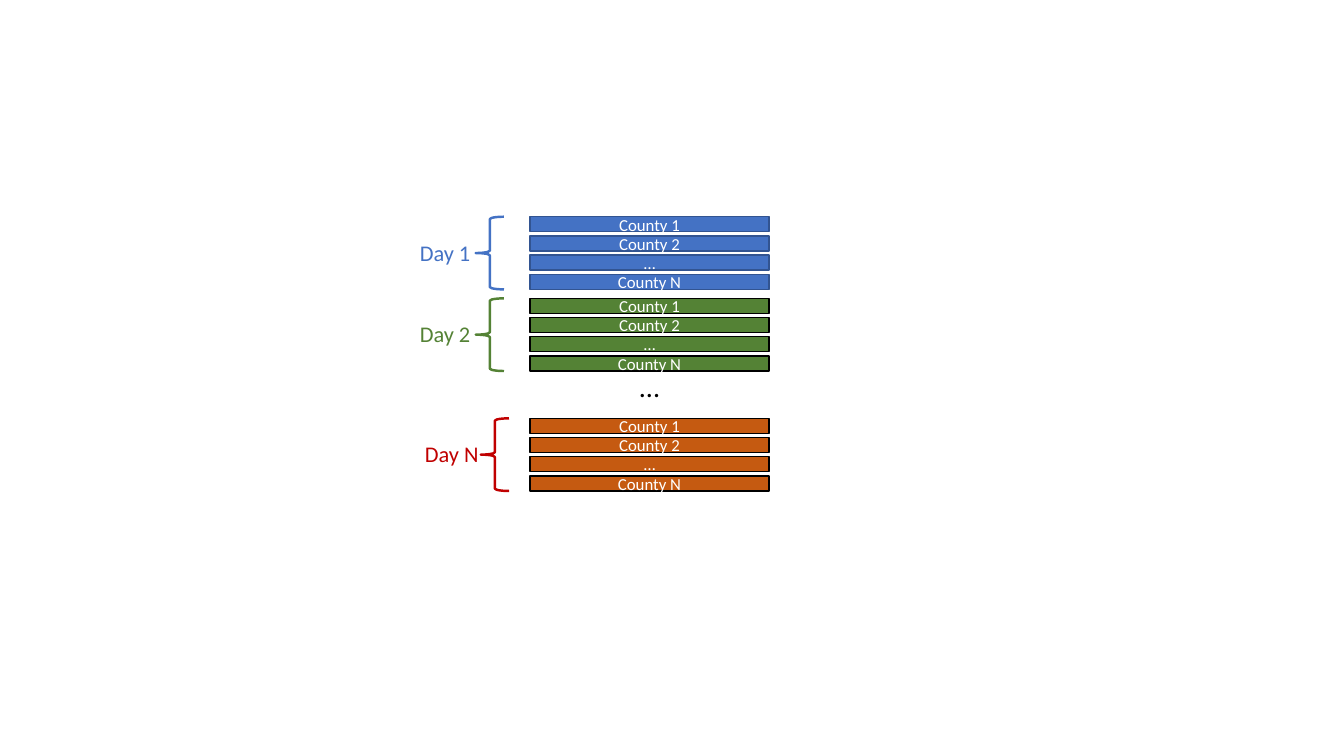
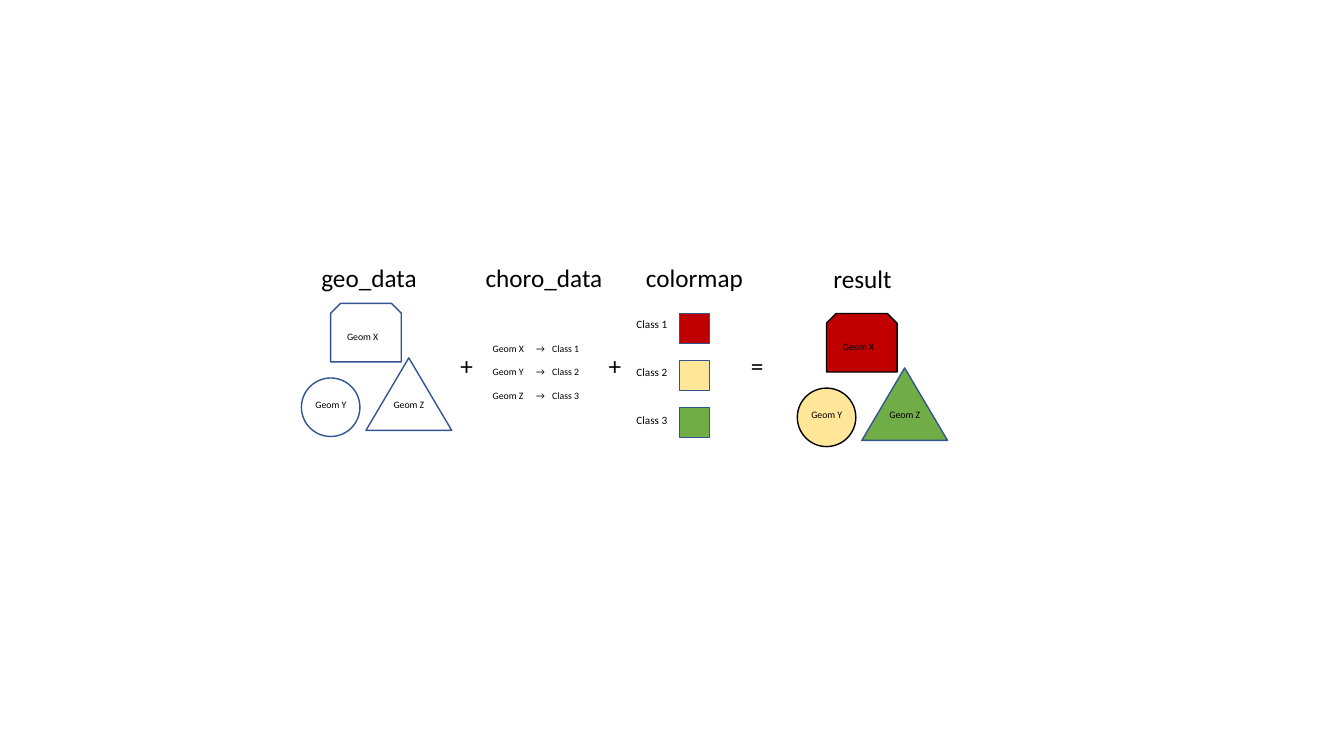
import pptx
import pptx.util
import pptx.dml.color
import pptx.enum.shapes
import pptx.enum.text
import lxml.etree

Pt = pptx.util.Pt
Color = pptx.dml.color.RGBColor
Kind = pptx.enum.shapes.MSO_SHAPE

FONT = "Calibri"
BLACK = Color(0x00, 0x00, 0x00)
WHITE = Color(0xFF, 0xFF, 0xFF)
BLUE = Color(0x44, 0x72, 0xC4)
NAVY = Color(0x32, 0x54, 0x91)
MOSS = Color(0x54, 0x82, 0x35)
RUST = Color(0xC5, 0x5A, 0x11)
RED = Color(0xC0, 0x00, 0x00)
CREAM = Color(0xFF, 0xE6, 0x99)
GREEN = Color(0x70, 0xAD, 0x47)


def style(para, size, color):
    para.font.name = FONT
    para.font.size = Pt(size)
    para.font.color.rgb = color


def add_shape(slide, kind, box, fill, line, width=1):
    shape = slide.shapes.add_shape(kind, *map(Pt, box))
    shape.shadow.inherit = False
    if fill is None:
        shape.fill.background()
    else:
        shape.fill.solid()
        shape.fill.fore_color.rgb = fill
    shape.line.color.rgb = line
    shape.line.width = Pt(width)
    return shape


def add_text(slide, text, box, size, color=BLACK):
    frame = slide.shapes.add_textbox(*map(Pt, box)).text_frame
    frame.word_wrap = True
    frame.auto_size = pptx.enum.text.MSO_AUTO_SIZE.SHAPE_TO_FIT_TEXT
    frame.text = text
    for para in frame.paragraphs:
        style(para, size, color)
    return frame


def set_tabs(para, stops):
    props = para._p.get_or_add_pPr()
    space = props.nsmap["a"]
    tabs = lxml.etree.Element(f"{{{space}}}tabLst")
    for stop in stops:
        lxml.etree.SubElement(tabs, f"{{{space}}}tab", pos=str(Pt(stop)), algn="l")
    props.insert(0, tabs)


def add_day(slide, name, top, left, fill, edge, tone):
    step, height = 13.7, 10.8
    rows = ["County 1", "County 2", "…", "County N"]
    for i, row in enumerate(rows):
        bar = add_shape(slide, Kind.RECTANGLE, (378.7, top + i * step, 170.6, height), fill, edge)
        bar.text_frame.text = row
        para = bar.text_frame.paragraphs[0]
        para.alignment = pptx.enum.text.PP_ALIGN.CENTER
        style(para, 12, WHITE)
    span = step * (len(rows) - 1) + height
    add_shape(slide, Kind.LEFT_BRACE, (left, top, 20.2, span), None, tone, 1.75)
    add_text(slide, name, (left - 47, top + 12.2, 59, 26.6), 16, tone)


def add_geoms(slide, left, top, fills, edges):
    parts = [
        (Kind.SNIP_2_SAME_RECTANGLE, (20.9, 0, 50.4, 41.8), "Geom X", (25.5, 15.8, 66.2, 15.8)),
        (Kind.OVAL, (0, 53.3, 41.8, 41.8), "Geom Y", (2.9, 64.8, 54, 15.8)),
        (Kind.ISOSCELES_TRIANGLE, (46.1, 38.9, 61.2, 51.8), "Geom Z", (58.7, 64.4, 66.2, 15.8)),
    ]
    for (kind, form, name, label), fill, edge in zip(parts, fills, edges):
        for_shape, for_text = [(left + x, top + y, w, h) for x, y, w, h in (form, label)]
        add_shape(slide, kind, for_shape, fill, edge)
        add_text(slide, name, for_text, 7)


def add_rules(slide):
    text = "\n".join(f"Geom {name}\t→\tClass {i}" for i, name in enumerate("XYZ", 1))
    frame = add_text(slide, text, (344.9, 241.1, 97.9, 50), 7)
    for para in frame.paragraphs:
        set_tabs(para, (31, 42.5))
        para.space_after = Pt(8.5)


def add_legend(slide, fills):
    for i, fill in enumerate(fills):
        add_shape(slide, Kind.RECTANGLE, (485.3, 223.9 + i * 33.5, 21.6, 21.6), fill, NAVY)
        add_text(slide, f"Class {i + 1}", (447.5, 222.9 + i * 34.4, 48.2, 17.3), 8)


def draw_days(slide):
    add_day(slide, "Day 1", 154.8, 339.8, BLUE, NAVY, BLUE)
    add_day(slide, "Day 2", 213.1, 339.8, MOSS, BLACK, MOSS)
    add_day(slide, "Day N", 298.8, 343.4, RUST, BLACK, RED)
    add_text(slide, "...", (449.3, 260.6, 43.9, 31.7), 20)


def draw_map(slide):
    fills = (RED, CREAM, GREEN)
    add_geoms(slide, 215.3, 216.7, (None,) * 3, (NAVY,) * 3)
    add_rules(slide)
    add_legend(slide, fills)
    add_geoms(slide, 569.5, 223.9, fills, (BLACK, BLACK, NAVY))
    for sign, left in (("+", 321.8), ("+", 427.7), ("=", 529.2)):
        add_text(slide, sign, (left, 246.4, 18.7, 28.8), 18)
    heads = [
        ("geo_data", 222.5, 183.6, 84.2),
        ("choro_data", 339.8, 183.6, 105.8),
        ("colormap", 454.3, 183.6, 105.8),
        ("result", 588.2, 184.4, 59),
    ]
    for head, left, top, width in heads:
        add_text(slide, head, (left, top, width, 28.8), 18)


def main():
    deck = pptx.Presentation()
    deck.slide_width, deck.slide_height = Pt(960), Pt(540)
    blank = deck.slide_layouts[6]
    for draw in (draw_days, draw_map):
        draw(deck.slides.add_slide(blank))
    deck.save("out.pptx")


main()
